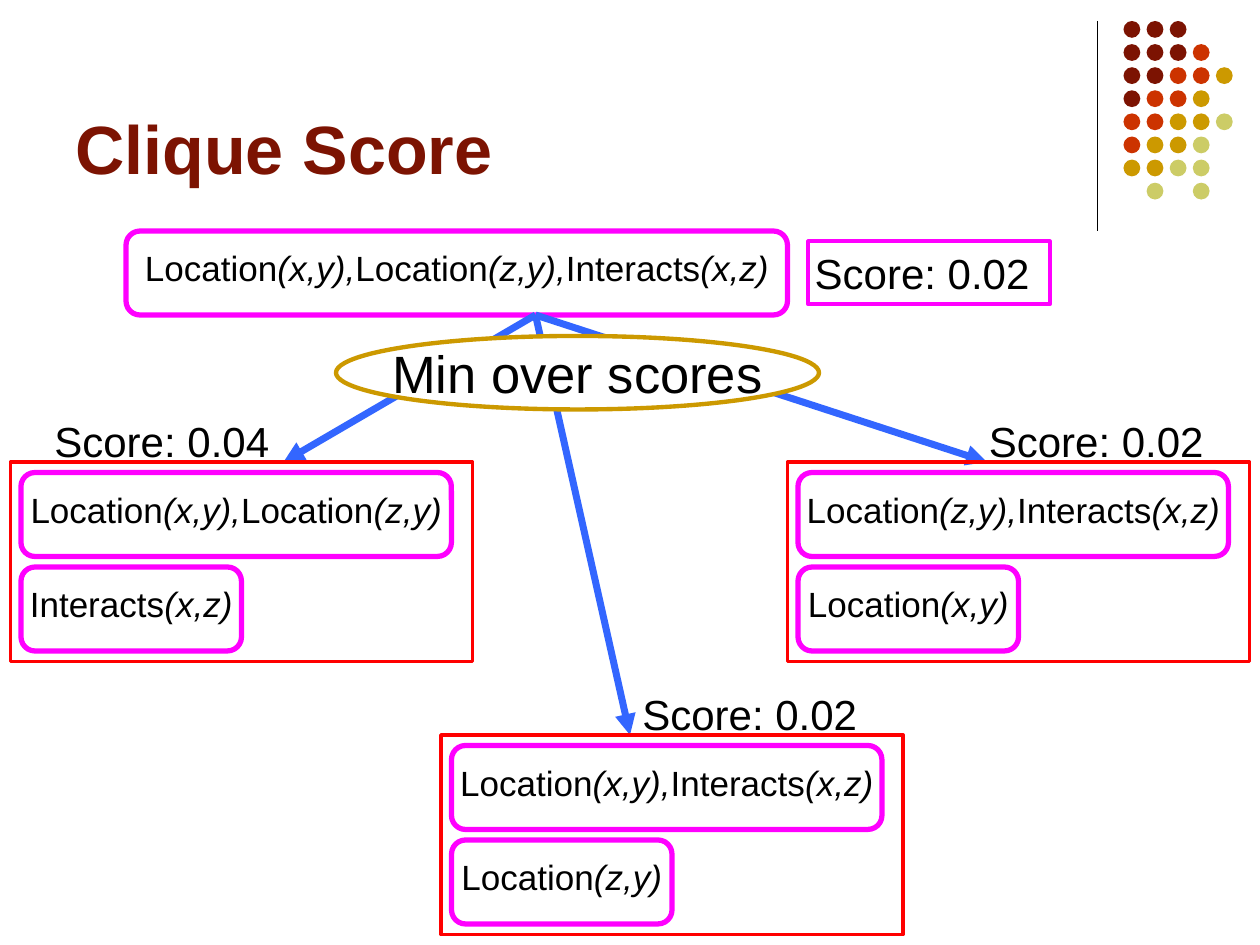
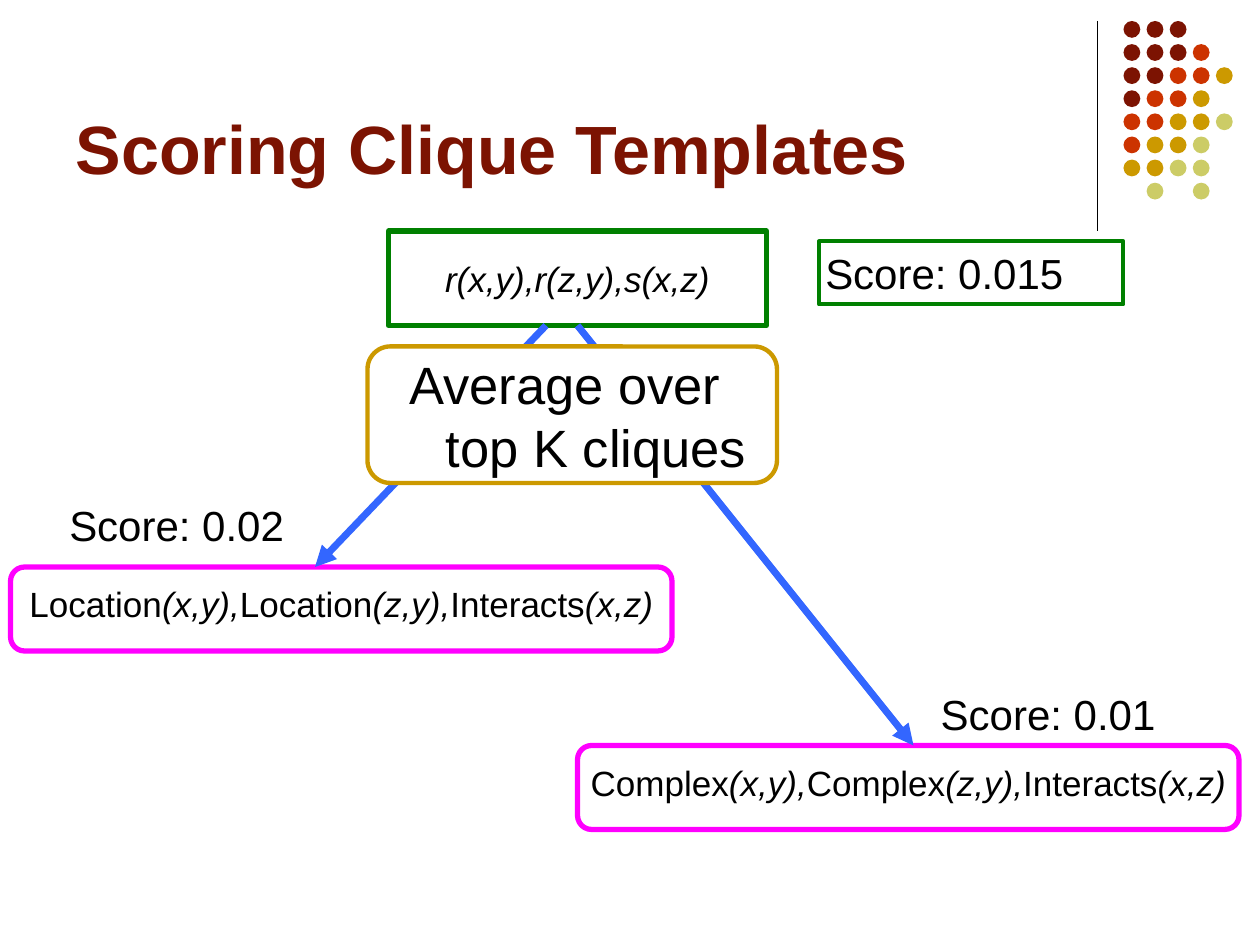
from lxml import etree
from pptx import Presentation
from pptx import util as u
from pptx.dml.color import RGBColor
from pptx.enum import shapes, text
from pptx.oxml import ns

COLUMNS, ROWS = 120, 90
MAROON, RUST, GOLD, OLIVE = "7C1302", "CC3300", "CC9900", "CCCC66"
BLACK, WHITE, BLUE = "000000", "FFFFFF", "3366FF"
MAGENTA, RED, GREEN = "FF00FF", "FF0000", "008000"
DOT_COLOURS = {"m": MAROON, "r": RUST, "g": GOLD, "o": OLIVE}
DOT_ROWS = ["mmm", "mmmr", "mmrrg", "mrrg", "rrggo", "rggo", "ggoo", " o o"]
DOT_PITCH, DOT_SIZE = 2.2, 1.6

RECT = shapes.MSO_SHAPE.RECTANGLE
ROUNDED = shapes.MSO_SHAPE.ROUNDED_RECTANGLE
OVAL = shapes.MSO_SHAPE.OVAL


def colour(value):
    return RGBColor.from_string(value)


class Sketch:
    font = "Arial"

    def __init__(self, deck):
        self.deck = deck
        self.column = deck.slide_width / COLUMNS
        self.row = deck.slide_height / ROWS
        self.page = None

    def across(self, columns):
        return round(columns * self.column)

    def down(self, rows):
        return round(rows * self.row)

    def area(self, left, top, width, height):
        return self.across(left), self.down(top), self.across(width), self.down(height)

    def start(self, title):
        self.page = self.deck.slides.add_slide(self.deck.slide_layouts[5])
        box = self.page.shapes.title
        box.left, box.top, box.width, box.height = self.area(6, 1.5, 99, 17)
        frame = self.frame(box, text.MSO_ANCHOR.BOTTOM)
        para = frame.paragraphs[0]
        para.alignment = text.PP_ALIGN.LEFT
        self.span(para, title, 39, MAROON).font.bold = True
        self.line((104.5, 2), (104.5, 22), BLACK, 0.75)
        for row, marks in enumerate(DOT_ROWS):
            for column, mark in enumerate(marks):
                if mark in DOT_COLOURS:
                    place = (107 + column * DOT_PITCH, 2 + row * DOT_PITCH, DOT_SIZE, DOT_SIZE)
                    self.shape(OVAL, place, fill=DOT_COLOURS[mark])

    def frame(self, box, anchor, wrap=True, side=0.1, bottom=0.05):
        frame = box.text_frame
        frame.auto_size = text.MSO_AUTO_SIZE.NONE
        frame.word_wrap = wrap
        frame.vertical_anchor = anchor
        frame.margin_left = frame.margin_right = u.Inches(side)
        frame.margin_top, frame.margin_bottom = u.Inches(0.05), u.Inches(bottom)
        return frame

    def span(self, para, words, size, ink=BLACK):
        span = para.add_run()
        span.text = words
        span.font.name = self.font
        span.font.size = u.Pt(size)
        span.font.color.rgb = colour(ink)
        return span

    def shape(self, kind, place, line=None, weight=3, fill=None):
        box = self.page.shapes.add_shape(kind, *self.area(*place))
        box.shadow.inherit = False
        if fill:
            box.fill.solid()
            box.fill.fore_color.rgb = colour(fill)
        else:
            box.fill.background()
        if line:
            box.line.color.rgb = colour(line)
            box.line.width = u.Pt(weight)
        else:
            box.line.fill.background()
        return box

    def line(self, start, end, ink, weight):
        link = self.page.shapes.add_connector(
            shapes.MSO_CONNECTOR.STRAIGHT,
            self.across(start[0]), self.down(start[1]), self.across(end[0]), self.down(end[1]))
        link.line.color.rgb = colour(ink)
        link.line.width = u.Pt(weight)
        etree.SubElement(link._element.spPr, ns.qn("a:effectLst"))
        return link

    def arrow(self, start, end):
        link = self.line(start, end, BLUE, 4)
        stroke = link.line._get_or_add_ln()
        etree.SubElement(stroke, ns.qn("a:tailEnd"), type="triangle")

    def centred(self, box, bottom=0.05):
        frame = self.frame(box, text.MSO_ANCHOR.MIDDLE, wrap=False, bottom=bottom)
        para = frame.paragraphs[0]
        para.alignment = text.PP_ALIGN.CENTER
        return para

    def clique(self, left, top, width, *parts):
        box = self.shape(ROUNDED, (left, top, width, 8), MAGENTA)
        para = self.centred(box, bottom=0.13)
        for index, words in enumerate(parts):
            self.span(para, words, 20).font.italic = index % 2 == 1

    def template(self, place, words):
        para = self.centred(self.shape(RECT, place, GREEN))
        self.span(para, words, 20).font.italic = True

    def combiner(self, kind, place, *lines):
        para = self.centred(self.shape(kind, place, GOLD, 2.5, WHITE))
        properties = para._p.get_or_add_pPr()
        properties.set("marL", str(u.Inches(0.38)))
        properties.set("indent", str(-u.Inches(0.38)))
        for index, words in enumerate(lines):
            if index:
                para.add_line_break()
            self.span(para, words, 30)

    def score(self, left, top, value, width=23, side=0.05, line=None):
        place = (left, top, width, 6)
        if line:
            box = self.shape(RECT, place, line, 2.25)
        else:
            box = self.page.shapes.add_textbox(*self.area(*place))
        frame = self.frame(box, text.MSO_ANCHOR.TOP, side=side)
        para = frame.paragraphs[0]
        para.alignment = text.PP_ALIGN.LEFT
        self.span(para, f"Score: {value}", 24)

    def split(self, left, top, pair, single):
        self.shape(RECT, (left, top, 44, 19), RED, 2)
        self.clique(left + 1, top + 1, 41, *pair)
        self.clique(left + 1, top + 10, 21, *single)


def clique_score(sketch):
    sketch.start("Clique Score")
    root = (51, 30)
    splits = [
        (1, 44, ("Location", "(x,y),", "Location", "(z,y)"), ("Interacts", "(x,z)"), 27, 4, "0.04"),
        (75, 44, ("Location", "(z,y),", "Interacts", "(x,z)"), ("Location", "(x,y)"), 94, 93, "0.02"),
        (42, 70, ("Location", "(x,y),", "Interacts", "(x,z)"), ("Location", "(z,y)"), 60, 60, "0.02"),
    ]
    sketch.clique(12, 22, 63, "Location", "(x,y),", "Location", "(z,y),", "Interacts", "(x,z)")
    for left, top, pair, single, tip, label, value in splits:
        sketch.arrow(root, (tip, top))
        sketch.split(left, top, pair, single)
        sketch.score(label, top - 5, value, width=34, side=0.1)
    sketch.score(77, 23, "0.02", line=MAGENTA)
    sketch.combiner(OVAL, (32, 32, 46, 7), "Min over scores")


def clique_templates(sketch):
    sketch.start("Scoring Clique Templates")
    sketch.template((37, 22, 36, 9), "r(x,y),r(z,y),s(x,z)")
    cliques = [
        (1, 54, "Location", 52, 30, 6, 47, "0.02"),
        (55, 71, "Complex", 55, 87, 89, 65, "0.01"),
    ]
    for left, top, name, start, tip, label, label_top, value in cliques:
        sketch.clique(left, top, 63, name, "(x,y),", name, "(z,y),", "Interacts", "(x,z)")
        sketch.arrow((start, 31), (tip, top))
        sketch.score(label, label_top, value)
    sketch.score(78, 23, "0.015", width=29, line=GREEN)
    sketch.combiner(ROUNDED, (35, 33, 39, 13), "Average over ", "top K cliques")


def main():
    deck = Presentation()
    deck.slide_width, deck.slide_height = u.Inches(10), u.Inches(7.5)
    sketch = Sketch(deck)
    clique_score(sketch)
    clique_templates(sketch)
    deck.save("out.pptx")


if __name__ == "__main__":
    main()
